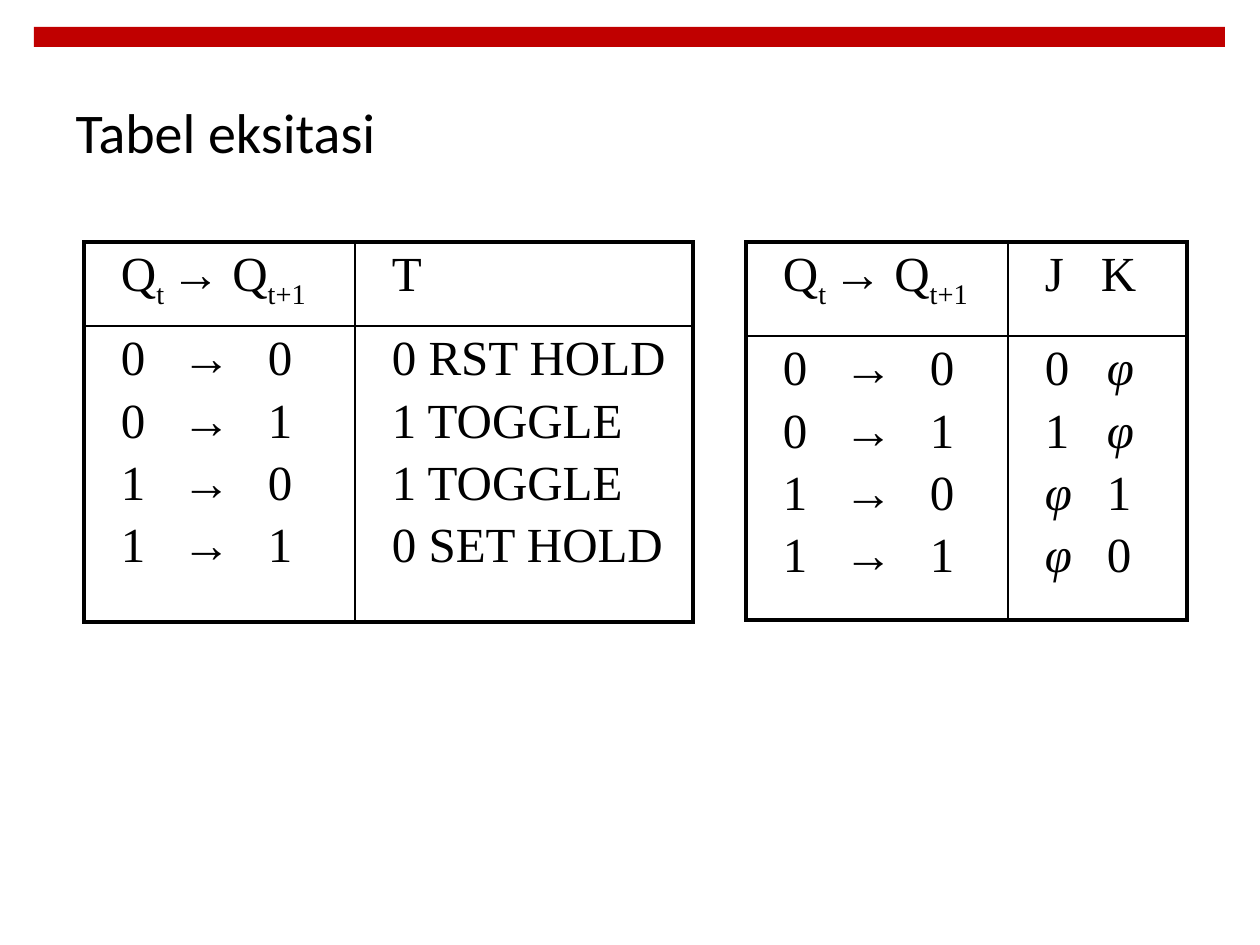
"""Builds the slide with the excitation tables of the T and JK flip-flops."""
from lxml.etree import SubElement
from pptx import Presentation
from pptx.dml.color import RGBColor
from pptx.enum.shapes import MSO_SHAPE as Shape
from pptx.enum.text import MSO_ANCHOR as Anchor, PP_ALIGN as Align
from pptx.oxml import parse_xml
from pptx.oxml.ns import nsdecls, qn
from pptx.util import Pt

PX = 914400 // 126
RED = RGBColor(0xC0, 0x00, 0x00)
BLACK = RGBColor(0x00, 0x00, 0x00)
OUTER, INNER = 2.25, 1
PLAIN, SUB, ITALIC = "plain", "sub", "italic"

TITLE = "Tabel eksitasi"
TRANSITION_HEAD = [[("Q", PLAIN), ("t ", SUB), ("→ Q", PLAIN), ("t+1", SUB)]]
TRANSITIONS = [[(f"{now}\t→\t{after}", PLAIN)] for now in (0, 1) for after in (0, 1)]
T_ACTIONS = ["0 RST HOLD", "1 TOGGLE", "1 TOGGLE", "0 SET HOLD"]
JK_INPUTS = [
    [("0\t", PLAIN), ("φ", ITALIC)],
    [("1\t", PLAIN), ("φ", ITALIC)],
    [("φ\t", ITALIC), ("1", PLAIN)],
    [("φ\t", ITALIC), ("0", PLAIN)],
]
TRANSITION_TABS, JK_HEAD_TABS, JK_TABS = (61, 147), (56,), (62,)

TABLES = [
    {
        "left": 746, "columns": (262, 179), "rows": (94, 284),
        "cells": [
            [(TRANSITION_HEAD, ()), ([[("J\tK", PLAIN)]], JK_HEAD_TABS)],
            [(TRANSITIONS, TRANSITION_TABS), (JK_INPUTS, JK_TABS)],
        ],
    },
    {
        "left": 84, "columns": (271, 338), "rows": (84, 296),
        "cells": [
            [(TRANSITION_HEAD, ()), ([[("T", PLAIN)]], ())],
            [(TRANSITIONS, TRANSITION_TABS),
             ([[(action, PLAIN)] for action in T_ACTIONS], ())],
        ],
    },
]
TABLE_TOP, CELL_INDENT = 242, 37


def px(*lengths):
    return [length * PX for length in lengths]


def write_lines(cell, lines, tabs):
    frame = cell.text_frame
    for index, line in enumerate(lines):
        paragraph = frame.add_paragraph() if index else frame.paragraphs[0]
        paragraph.space_before = Pt(4.5 if index else 0)
        if tabs:
            stops = SubElement(paragraph._p.get_or_add_pPr(), qn("a:tabLst"))
            for tab in tabs:
                SubElement(stops, qn("a:tab"), pos=str(tab * PX), algn="l")
        for words, style in line:
            run = paragraph.add_run()
            run.text = words
            run.font.name, run.font.size = "Times New Roman", Pt(28)
            run.font.color.rgb = BLACK
            if style == ITALIC:
                run.font.italic = True
            if style == SUB:
                run._r.get_or_add_rPr().set("baseline", "-25000")


def draw_borders(cell, widths):
    properties = cell._tc.get_or_add_tcPr()
    for index, (side, width) in enumerate(zip("LRTB", widths)):
        properties.insert(index, parse_xml(
            f'<a:ln{side} {nsdecls("a")} w="{Pt(width)}"><a:solidFill>'
            f'<a:srgbClr val="{BLACK}"/></a:solidFill></a:ln{side}>'))


def add_excitation_table(slide, left, columns, rows, cells):
    table = slide.shapes.add_table(
        len(rows), len(columns), *px(left, TABLE_TOP, sum(columns), sum(rows))).table
    table.first_row = table.horz_banding = False
    for column, width in zip(table.columns, columns):
        column.width = width * PX
    for row, height in zip(table.rows, rows):
        row.height = height * PX
    for y, row in enumerate(cells):
        for x, (lines, tabs) in enumerate(row):
            cell = table.cell(y, x)
            cell.margin_left = CELL_INDENT * PX
            cell.fill.background()
            write_lines(cell, lines, tabs)
            at_edge = (x == 0, x == len(columns) - 1, y == 0, y == len(rows) - 1)
            draw_borders(cell, [OUTER if edge else INNER for edge in at_edge])


def main():
    deck = Presentation()
    deck.slide_width, deck.slide_height = px(1260, 945)
    slide = deck.slides.add_slide(deck.slide_layouts[5])

    bar = slide.shapes.add_shape(Shape.RECTANGLE, *px(34, 27, 1191, 20))
    bar.shadow.inherit = False
    bar.fill.solid()
    bar.fill.fore_color.rgb = RED
    bar.line.fill.background()

    title = slide.shapes.title
    title.left, title.top, title.width, title.height = px(63, 66, 1089, 130)
    title.text_frame.text = TITLE
    title.text_frame.vertical_anchor = Anchor.MIDDLE
    heading = title.text_frame.paragraphs[0]
    heading.alignment = Align.LEFT
    font = heading.runs[0].font
    font.name, font.size = "Calibri", Pt(32)
    font.color.rgb = BLACK

    for excitation in TABLES:
        add_excitation_table(slide, **excitation)
    deck.save("out.pptx")


if __name__ == "__main__":
    main()
